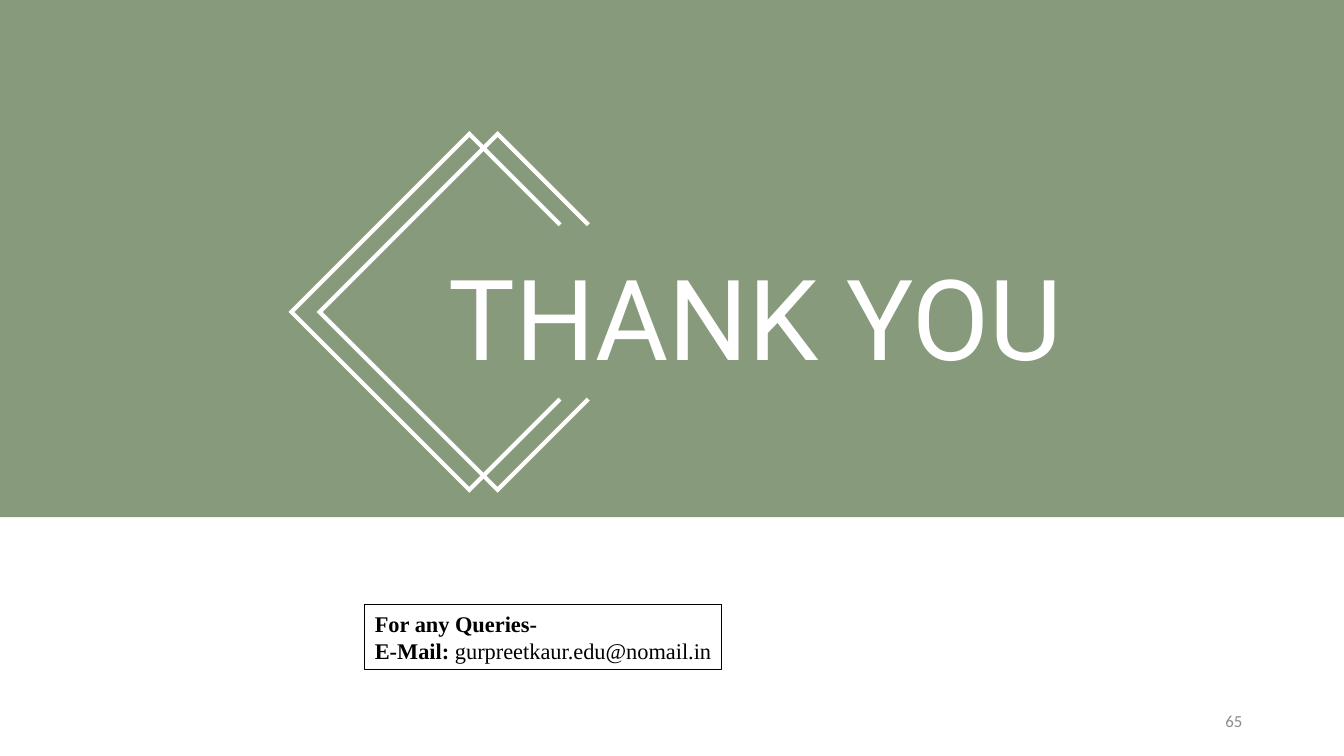
from dataclasses import dataclass

from lxml import etree
from pptx import Presentation
from pptx.dml.color import RGBColor
from pptx.enum.shapes import MSO_SHAPE
from pptx.enum.text import MSO_ANCHOR, MSO_AUTO_SIZE, PP_ALIGN
from pptx.oxml.ns import qn
from pptx.util import Inches, Pt

RECTANGLE = MSO_SHAPE.RECTANGLE
MIDDLE = MSO_ANCHOR.MIDDLE
GROW = MSO_AUTO_SIZE.SHAPE_TO_FIT_TEXT
LEFT, CENTER, RIGHT = PP_ALIGN.LEFT, PP_ALIGN.CENTER, PP_ALIGN.RIGHT

COLORS = {"green": "385723", "white": "FFFFFF", "black": "000000", "gray": "8C8C8C"}
TITLE_ONLY = 5


@dataclass
class TextStyle:
    font: str
    size: float
    color: str
    align: PP_ALIGN = LEFT


@dataclass
class OpenDiamond:
    left: float
    top: float = 1.33
    half: float = 1.765
    arm: float = 0.9


TITLE_STYLE = TextStyle("Roboto", 80, "white", CENTER)
NUMBER_STYLE = TextStyle("Calibri", 12, "gray", RIGHT)
CONTACT_STYLE = TextStyle("Times New Roman", 16, "black")
DIAMONDS = [OpenDiamond(2.89), OpenDiamond(3.17)]


def rgb(name: str) -> RGBColor:
    return RGBColor.from_string(COLORS[name])


def format_text(tf, style: TextStyle) -> None:
    tf.word_wrap = True
    tf.vertical_anchor = MIDDLE
    for p in tf.paragraphs:
        p.alignment = style.align
        for r in p.runs:
            r.font.name = style.font
            r.font.size = Pt(style.size)
            r.font.color.rgb = rgb(style.color)


def add_band(s, width: float, height: float) -> None:
    band = s.shapes.add_shape(RECTANGLE, 0, 0, Inches(width), Inches(height))
    band.shadow.inherit = False
    band.fill.solid()
    band.fill.fore_color.rgb = rgb("green")
    band.line.fill.background()
    color = band._element.spPr.find(qn("a:solidFill")).find(qn("a:srgbClr"))
    etree.SubElement(color, qn("a:alpha"), val="60000")


def add_title(s, text: str) -> None:
    title = s.shapes.title
    title.left, title.top = Inches(1.63), Inches(2.46)
    title.width, title.height = Inches(11.73), Inches(1.35)
    tf = title.text_frame
    tf.text = text
    tf.margin_left = tf.margin_right = tf.margin_top = tf.margin_bottom = 0
    tf.auto_size = GROW
    format_text(tf, TITLE_STYLE)
    # The placeholder starts at the back; bring it in front of the band.
    title._element.getparent().append(title._element)


def add_open_diamond(s, d: OpenDiamond) -> None:
    """Draw a diamond outline whose right corner is cut away."""
    center = d.left + d.half
    bottom = d.top + 2 * d.half
    points = [
        (center + d.arm, bottom - d.arm),
        (center, bottom),
        (d.left, d.top + d.half),
        (center, d.top),
        (center + d.arm, d.top + d.arm),
    ]
    start, *rest = [(Inches(x), Inches(y)) for x, y in points]
    builder = s.shapes.build_freeform(*start)
    builder.add_line_segments(rest, close=False)
    sp = builder.convert_to_shape()
    sp.shadow.inherit = False
    sp.fill.background()
    sp.line.color.rgb = rgb("white")
    sp.line.width = Pt(3)
    etree.SubElement(sp.line._get_or_add_ln(), qn("a:miter"), lim="800000")


def add_slide_number(s, number: str) -> None:
    sp = s.shapes.add_textbox(Inches(9.42), Inches(6.95), Inches(3), Inches(0.4))
    sp.text_frame.text = number
    format_text(sp.text_frame, NUMBER_STYLE)


def add_contact_box(s, heading: str, label: str, address: str) -> None:
    sp = s.shapes.add_shape(RECTANGLE, Inches(3.62), Inches(6), Inches(3.54), Inches(0.64))
    sp.shadow.inherit = False
    sp.fill.background()
    sp.line.color.rgb = rgb("black")
    sp.line.width = Pt(0.75)
    tf = sp.text_frame
    tf.text = heading
    p = tf.add_paragraph()
    p.text = label
    p.add_run().text = address
    tf.auto_size = GROW
    format_text(tf, CONTACT_STYLE)
    for r in (tf.paragraphs[0].runs[0], p.runs[0]):
        r.font.bold = True


def main() -> None:
    prs = Presentation()
    prs.slide_width, prs.slide_height = Inches(13.33), Inches(7.5)
    s = prs.slides.add_slide(prs.slide_layouts[TITLE_ONLY])
    add_band(s, 13.33, 5.13)
    add_title(s, "THANK YOU")
    for diamond in DIAMONDS:
        add_open_diamond(s, diamond)
    add_slide_number(s, "65")
    add_contact_box(s, "For any Queries-", "E-Mail: ", "gurpreetkaur.edu@nomail.in")
    prs.save("out.pptx")


if __name__ == "__main__":
    main()
